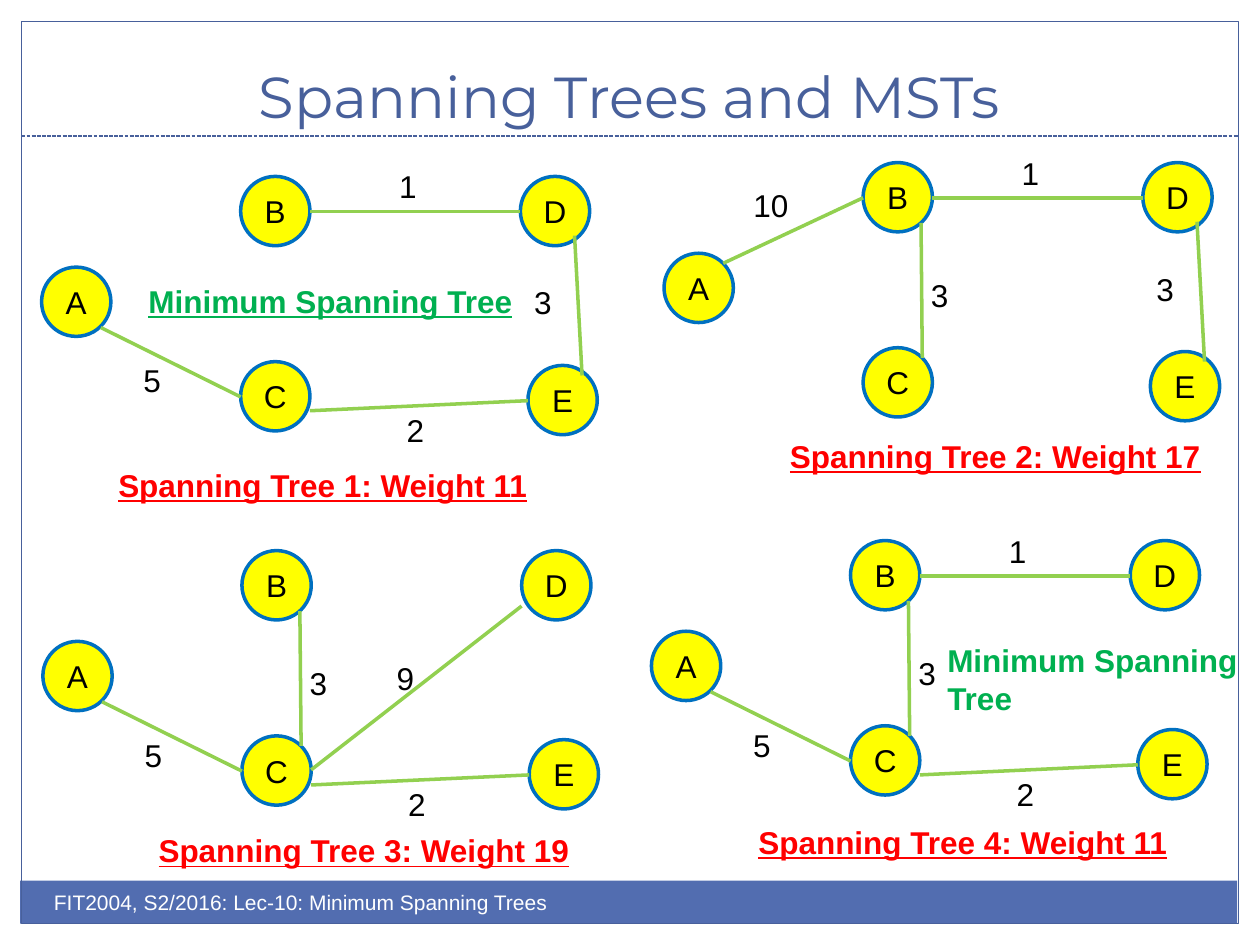
from lxml import etree
from pptx import Presentation
from pptx import util as u
from pptx.dml.color import RGBColor
from pptx.enum import dml, shapes, text
from pptx.oxml.ns import qn

NAVY = RGBColor(0x48, 0x60, 0x9B)
BAR = RGBColor(0x52, 0x6D, 0xB0)
WHITE = RGBColor(0xFF, 0xFF, 0xFF)
BLACK = RGBColor(0, 0, 0)
YELLOW = RGBColor(0xFF, 0xFF, 0)
BLUE = RGBColor(0, 0x70, 0xC0)
LIME = RGBColor(0x92, 0xD0, 0x50)
RED = RGBColor(0xFF, 0, 0)
GREEN = RGBColor(0, 0xB0, 0x50)

TITLE = "Spanning Trees and MSTs"
FOOTER = "FIT2004, S2/2016: Lec-10: Minimum Spanning Trees"
NODE = 0.55
NODES = {"A": (0, 0.72), "B": (1.58, 0), "C": (1.58, 1.47),
         "D": (3.8, 0), "E": (3.86, 1.5)}
EDGES = {
    "AB": ((0.47, 0.8), (1.58, 0.28)),
    "AC": ((0.47, 1.2), (1.58, 1.75)),
    "BC": ((2.04, 0.48), (2.05, 1.55)),
    "BD": ((2.13, 0.28), (3.8, 0.28)),
    "CD": ((2.13, 1.74), (3.8, 0.44)),
    "CE": ((2.13, 1.86), (3.86, 1.78)),
    "DE": ((4.23, 0.47), (4.29, 1.58)),
}
WEIGHTS = {"AB": ("10", 0.61, 0.14), "AC": ("5", 0.71, 1.42),
           "BC": ("3", 2.02, 0.85), "BD": ("1", 2.74, -0.12),
           "CD": ("9", 2.71, 0.81), "CE": ("2", 2.8, 1.81),
           "DE": ("3", 3.81, 0.8)}
TREES = [
    ((0.33, 1.4), ("AC", "BD", "CE", "DE")),
    ((5.27, 1.29), ("AB", "BD", "BC", "DE")),
    ((0.34, 4.37), ("AC", "CD", "BC", "CE")),
    ((5.17, 4.29), ("AC", "BD", "BC", "CE")),
]
CAPTIONS = [
    (0.84, 3.65, 3.48, 0.4, ["Spanning Tree 1: Weight 11"], RED, True),
    (6.17, 3.42, 3.49, 0.4, ["Spanning Tree 2: Weight 17"], RED, True),
    (1.16, 6.55, 3.49, 0.4, ["Spanning Tree 3: Weight 19"], RED, True),
    (5.92, 6.48, 3.48, 0.4, ["Spanning Tree 4: Weight 11"], RED, True),
    (1.08, 2.19, 3.12, 0.4, ["Minimum Spanning Tree"], GREEN, True),
    (7.42, 5.04, 2.53, 0.71, ["Minimum Spanning", "Tree"], GREEN, False),
]


def inches(*values):
    return [u.Inches(v) for v in values]


def add_run(p, words, size, color, font="Arial", bold=False, underline=False):
    r = p.add_run()
    r.text = words
    f = r.font
    f.name, f.size, f.color.rgb = font, u.Pt(size), color
    if bold:
        f.bold = True
    if underline:
        f.underline = True


def add_text(s, box, lines, size, color, bold=False, underline=False):
    tf = s.shapes.add_textbox(*inches(*box)).text_frame
    tf.word_wrap = False
    for i, words in enumerate(lines):
        p = tf.add_paragraph() if i else tf.paragraphs[0]
        add_run(p, words, size, color, bold=bold, underline=underline)


def add_shape(s, kind, box, fill=None, line=None, width=0.75):
    sp = s.shapes.add_shape(kind, *inches(*box))
    sp.shadow.inherit = False
    if fill is None:
        sp.fill.background()
    else:
        sp.fill.solid()
        sp.fill.fore_color.rgb = fill
    if line is None:
        sp.line.fill.background()
    else:
        sp.line.color.rgb = line
        sp.line.width = u.Pt(width)
    return sp


def add_line(s, start, end, color, width):
    c = s.shapes.add_connector(shapes.MSO_CONNECTOR.STRAIGHT, *inches(*start, *end))
    c.line.color.rgb = color
    c.line.width = u.Pt(width)
    etree.SubElement(c._element.spPr, qn("a:effectLst"))
    return c


def add_node(s, letter, x, y):
    sp = add_shape(s, shapes.MSO_SHAPE.OVAL, (x, y, NODE, NODE), YELLOW, BLUE, 2)
    tf = sp.text_frame
    tf.margin_left = tf.margin_right = tf.margin_top = tf.margin_bottom = 0
    tf.vertical_anchor = text.MSO_ANCHOR.MIDDLE
    p = tf.paragraphs[0]
    p.alignment = text.PP_ALIGN.CENTER
    add_run(p, letter, 18, BLACK)


def add_tree(s, origin, edges):
    ox, oy = origin
    for letter, (x, y) in NODES.items():
        add_node(s, letter, ox + x, oy + y)
    for edge in edges:
        start, end = [(ox + x, oy + y) for x, y in EDGES[edge]]
        add_line(s, start, end, LIME, 2)
        weight, x, y = WEIGHTS[edge]
        width = 0.2 + 0.14 * len(weight)
        add_text(s, (ox + x, oy + y, width, 0.4), [weight], 18, BLACK)


def add_frame(s):
    rect = shapes.MSO_SHAPE.RECTANGLE
    add_shape(s, rect, (0.16, 6.99, 9.66, 0.34), BAR)
    add_shape(s, rect, (0.17, 0.17, 9.66, 7.16), line=NAVY)
    rule = add_line(s, (0.17, 1.08), (9.83, 1.08), NAVY, 0.75)
    rule.line.dash_style = dml.MSO_LINE.SQUARE_DOT
    add_text(s, (0.33, 7.01, 5, 0.4), [FOOTER], 12, WHITE)


def add_title(s):
    t = s.shapes.title
    t.left, t.top, t.width, t.height = inches(0.33, 0.25, 9.33, 0.83)
    tf = t.text_frame
    tf.vertical_anchor = text.MSO_ANCHOR.BOTTOM
    p = tf.paragraphs[0]
    p.alignment = text.PP_ALIGN.CENTER
    add_run(p, TITLE, 33, NAVY, "Montserrat")


def main():
    prs = Presentation()
    prs.slide_width, prs.slide_height = inches(10, 7.5)
    s = prs.slides.add_slide(prs.slide_layouts[5])
    add_title(s)
    add_frame(s)
    for origin, edges in TREES:
        add_tree(s, origin, edges)
    for *box, lines, color, underline in CAPTIONS:
        add_text(s, box, lines, 18, color, True, underline)
    prs.save("out.pptx")


if __name__ == "__main__":
    main()
